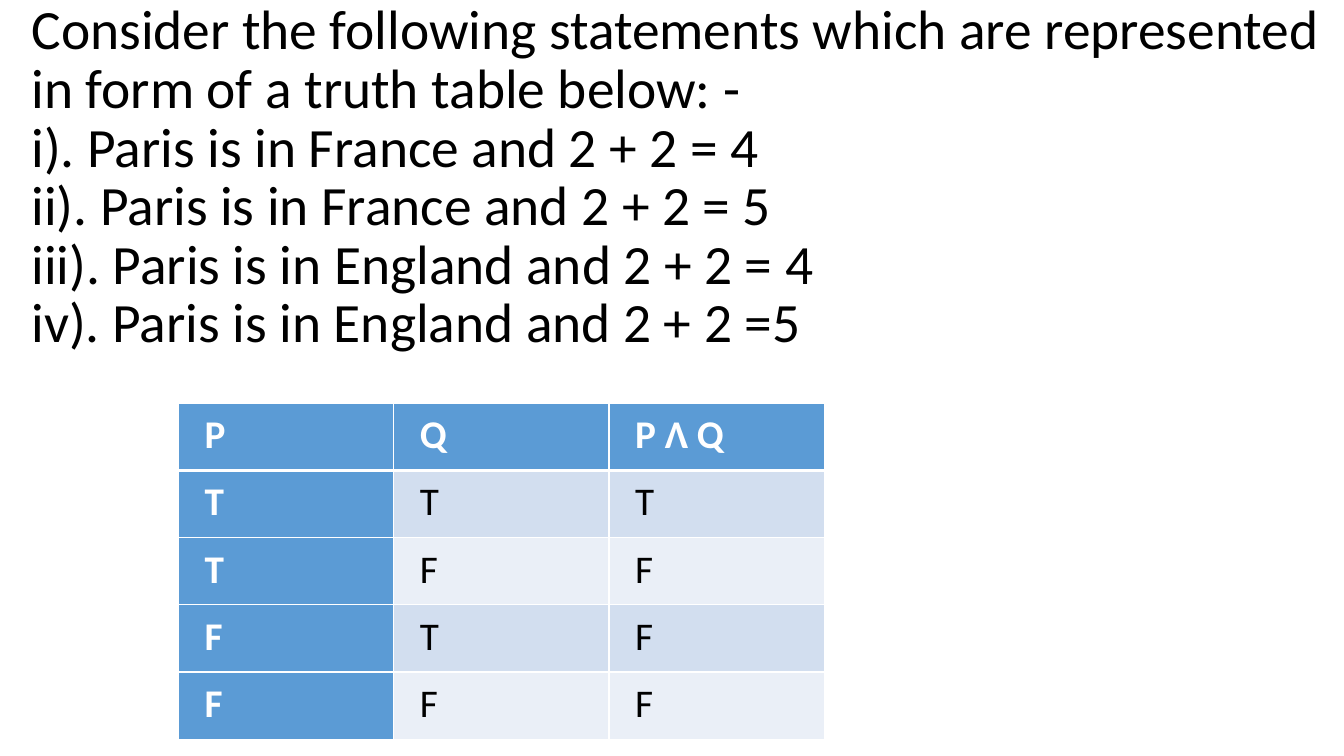
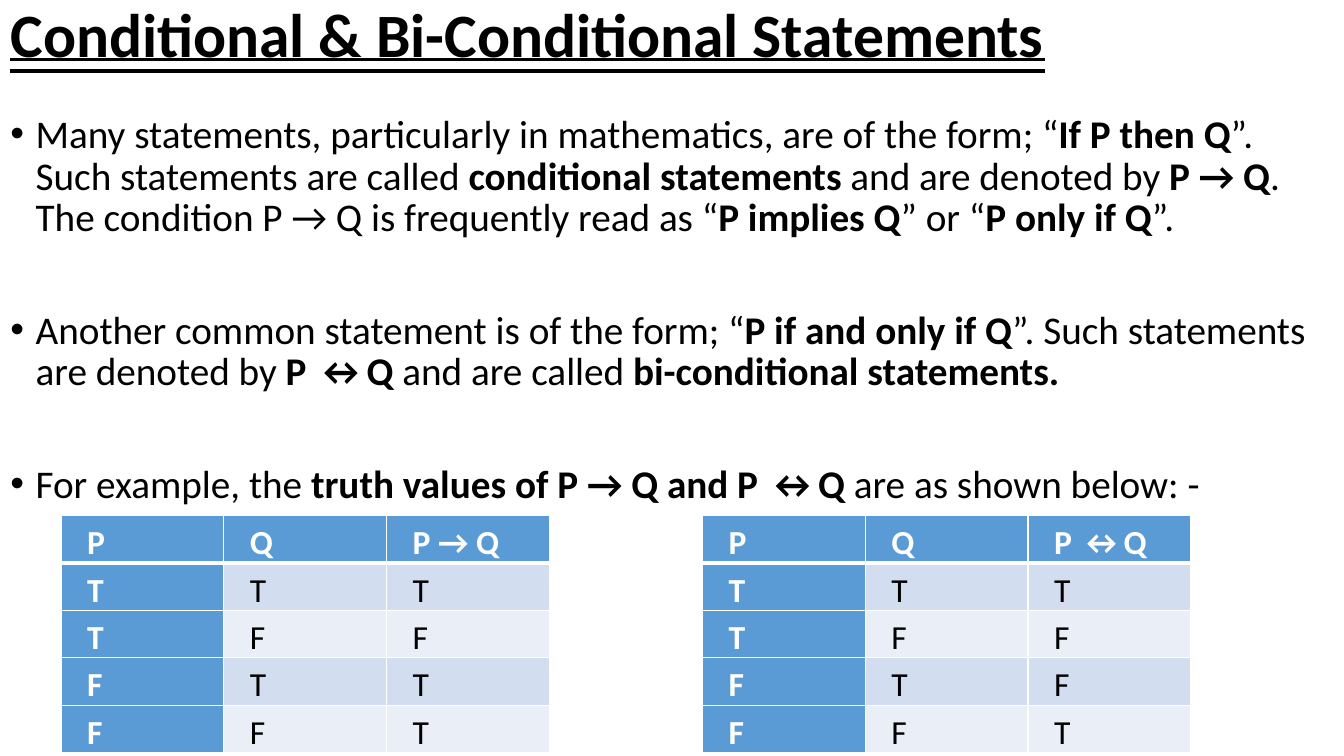
from pptx import Presentation
from pptx.dml.color import RGBColor
from pptx.enum.text import MSO_UNDERLINE
from pptx.oxml.ns import qn
from pptx.util import Pt
from lxml.etree import SubElement

PX = 9525
FONT = "Calibri"
BLACK, WHITE = "000000", "FFFFFF"
ACCENT, BANDS = "5B9BD5", ("D2DEEF", "EAEFF7")
LINE_SPACING = 0.88

STATEMENTS = [
    "Consider the following statements which are represented in form of a truth table below: -",
    "i). Paris is in France and 2 + 2 = 4",
    "ii). Paris is in France and 2 + 2 = 5",
    "iii). Paris is in England and 2 + 2 = 4",
    "iv). Paris is in England and 2 + 2 =5",
]
TITLE = "**Conditional & Bi-Conditional Statements**"
POINTS = [
    "Many statements, particularly in mathematics, are of the form; “**If P then Q**”. "
    "Such statements are called **conditional statements** and are denoted by **P → Q**. "
    "The condition P → Q is frequently read as “**P implies Q**” or “**P only if Q**”.",
    "Another common statement is of the form; “**P if and only if Q**”. Such statements "
    "are denoted by **P ↔Q** and are called **bi-conditional statements.**",
    "For example, the **truth values of P → Q and P ↔Q** are as shown below: -",
]
INPUTS = ["TT", "TF", "FT", "FF"]
CONJUNCTION = ("P Λ Q", "TFFF")
CONDITIONAL = ("P → Q", "TFTT")
BICONDITIONAL = ("P ↔Q", "TFFT")


def color(hex_text):
    return RGBColor.from_string(hex_text)


def style_font(font, size, hex_text):
    font.name, font.size = FONT, Pt(size)
    font.color.rgb = color(hex_text)


def add_bullet(paragraph, indent=24):
    properties = paragraph._p.get_or_add_pPr()
    properties.set("marL", str(indent * PX))
    properties.set("indent", str(-indent * PX))
    SubElement(properties, qn("a:buFont"), typeface="Arial")
    SubElement(properties, qn("a:buChar"), char="•")


def add_text(slide, box, lines, size, bullets=False, gap=0):
    """Add one paragraph per line; text between ** marks is bold."""
    frame = slide.shapes.add_textbox(*(n * PX for n in box)).text_frame
    frame.word_wrap = True
    frame.margin_left = frame.margin_right = frame.margin_top = frame.margin_bottom = 0
    for index, line in enumerate(lines):
        paragraph = frame.add_paragraph() if index else frame.paragraphs[0]
        paragraph.line_spacing = LINE_SPACING
        if index:
            paragraph.space_before = Pt(gap)
        if bullets:
            add_bullet(paragraph)
        style_font(paragraph.font, size, BLACK)
        for part, text in enumerate(line.split("**")):
            if text:
                run = paragraph.add_run()
                run.text = text
                run.font.bold = part % 2 == 1
    return frame


def add_border(cell, side, points):
    line = SubElement(cell._tc.get_or_add_tcPr(), qn(f"a:ln{side}"), w=str(Pt(points)))
    SubElement(SubElement(line, qn("a:solidFill")), qn("a:srgbClr"), val=WHITE)


def add_truth_table(slide, left, top, column_width, row_height, size, result):
    heading, values = result
    rows = [["P", "Q", heading]] + [[*pair, value] for pair, value in zip(INPUTS, values)]
    width, height = column_width * len(rows[0]), row_height * len(rows)
    table = slide.shapes.add_table(
        len(rows), len(rows[0]), left * PX, top * PX, width * PX, height * PX).table
    for column in table.columns:
        column.width = column_width * PX
    for r, row in enumerate(rows):
        table.rows[r].height = row_height * PX
        for c, text in enumerate(row):
            cell = table.cell(r, c)
            is_header = r == 0 or c == 0
            cell.margin_left, cell.margin_right = 25 * PX, 8 * PX
            cell.margin_top, cell.margin_bottom = PX, 0
            borders = {"L": 1, "R": 1, "T": 3 if r == 1 else 1, "B": 3 if r == 0 else 1}
            for side, points in borders.items():
                add_border(cell, side, points)
            cell.fill.solid()
            cell.fill.fore_color.rgb = color(ACCENT if is_header else BANDS[(r - 1) % 2])
            paragraph = cell.text_frame.paragraphs[0]
            paragraph.text = text
            paragraph.line_spacing = 1.15
            style_font(paragraph.font, size, WHITE if is_header else BLACK)
            paragraph.font.bold = is_header


def main():
    presentation = Presentation()
    presentation.slide_width, presentation.slide_height = 1280 * PX, 720 * PX
    blank = presentation.slide_layouts[6]

    slide = presentation.slides.add_slide(blank)
    add_text(slide, (30, 3, 1240, 342), STATEMENTS, 39.6)
    add_truth_table(slide, 170, 384, 205, 64, 28, CONJUNCTION)

    slide = presentation.slides.add_slide(blank)
    title = add_text(slide, (10, 5, 1260, 64), [TITLE], 44)
    title.paragraphs[0].runs[0].font.underline = MSO_UNDERLINE.DOUBLE_LINE
    add_text(slide, (10, 110, 1260, 376), POINTS, 28, bullets=True, gap=51)
    for left, result in ((58, CONDITIONAL), (669, BICONDITIONAL)):
        add_truth_table(slide, left, 491, 155, 45, 24, result)

    presentation.save("out.pptx")


if __name__ == "__main__":
    main()
